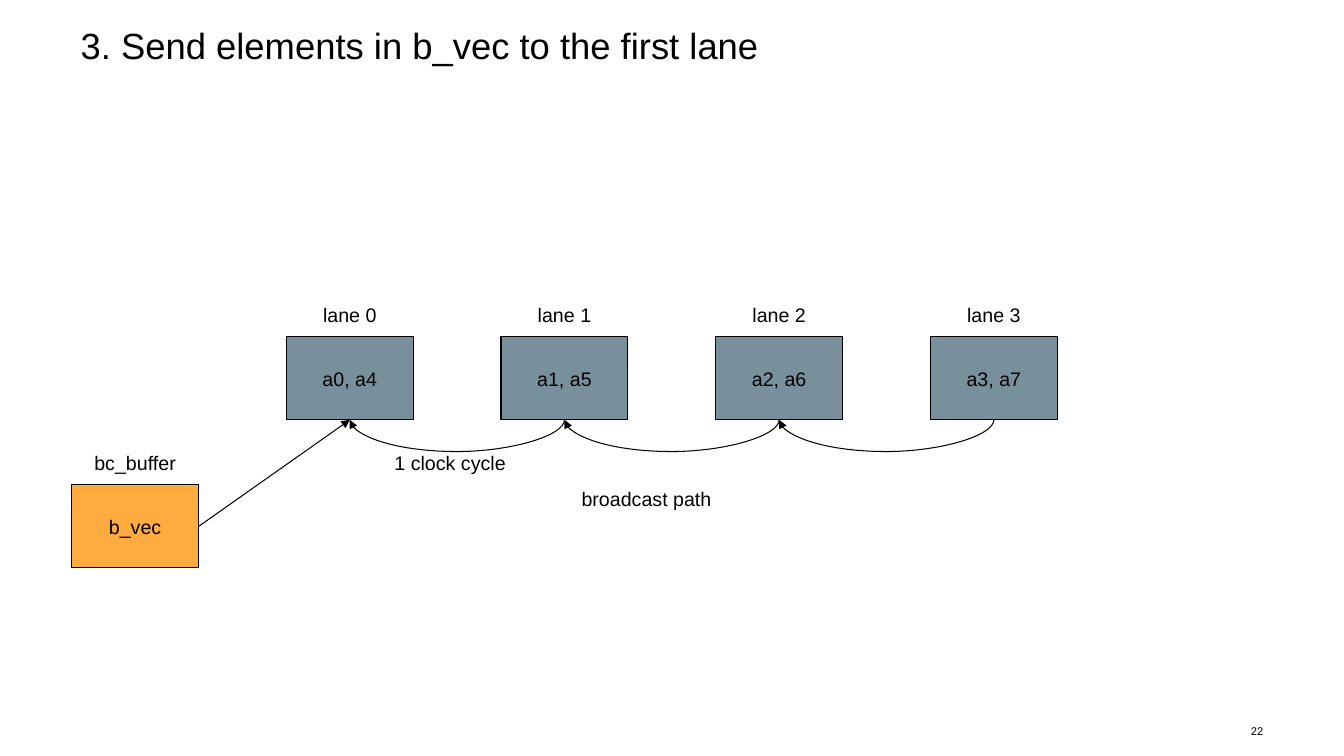
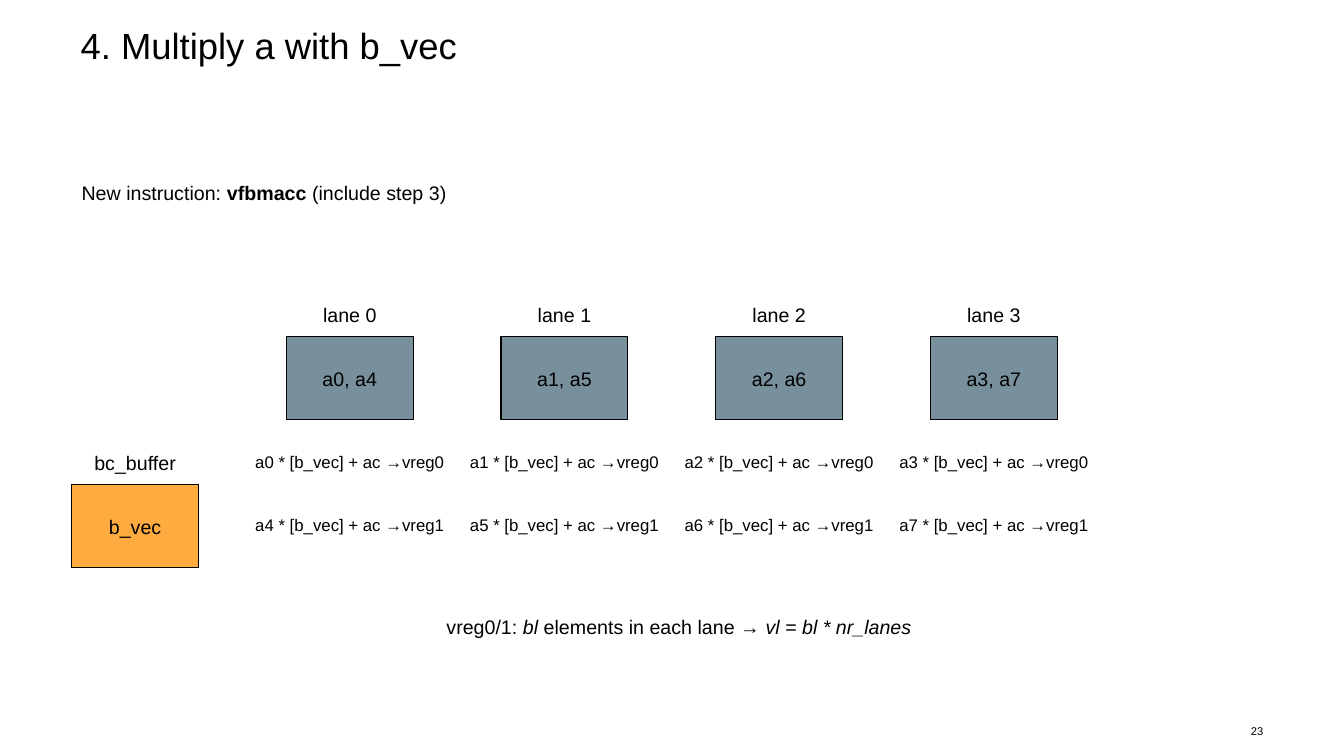
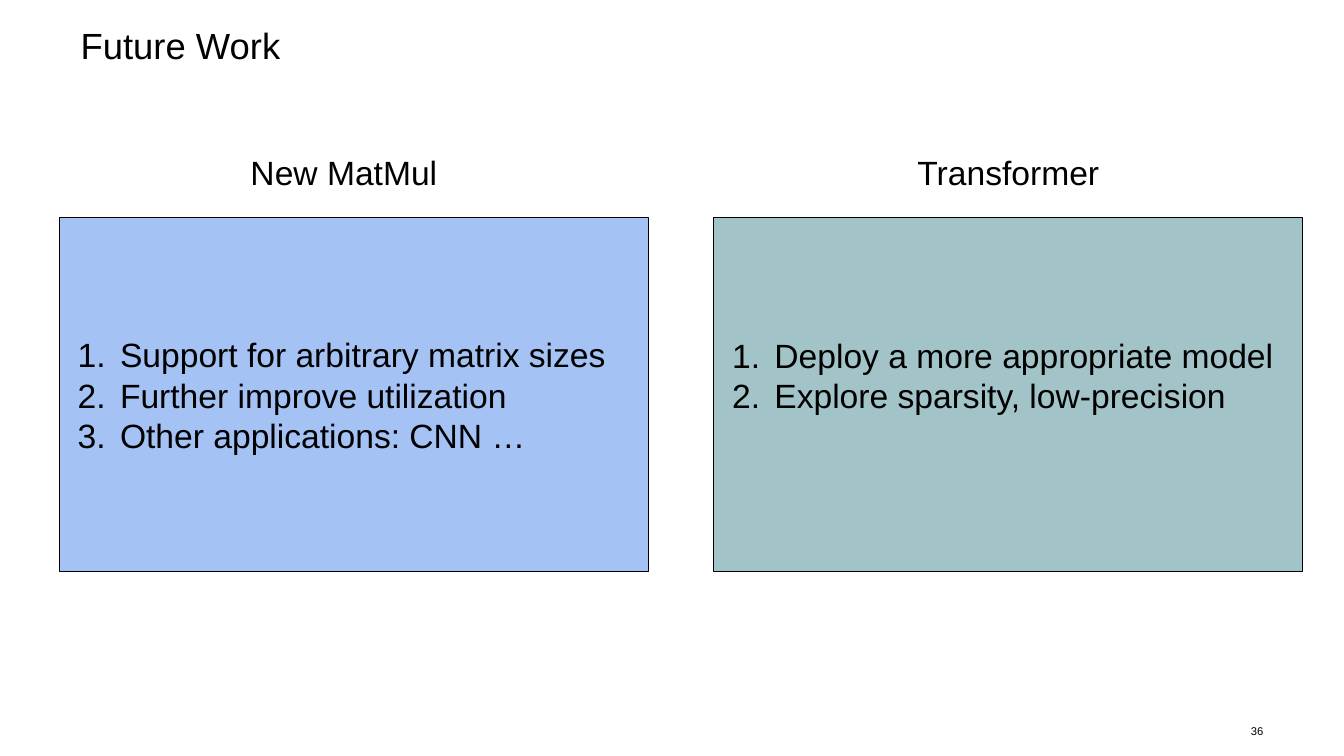
from typing import NamedTuple

from lxml.etree import SubElement
from pptx import Presentation
from pptx.dml.color import RGBColor
from pptx.enum.shapes import MSO_CONNECTOR as Link, MSO_SHAPE as Preset
from pptx.enum.text import MSO_ANCHOR as Anchor, MSO_AUTO_SIZE as Fit, PP_ALIGN as Align
from pptx.oxml.ns import qn
from pptx.util import Emu, Inches, Pt

FONT = "Arial"
BLACK, SLATE, AMBER = "000000", "78909C", "FFAB40"
PERIWINKLE, TEAL = "A4C2F4", "A2C4C9"
INSET = Inches(0.1)
LABEL_SHARE = 34.65
LANES = 4


class Box(NamedTuple):
    """A rectangle whose areas are given in percent of its size."""
    left: float
    top: float
    width: float
    height: float

    def area(self, left, top, width, height):
        """Return a box inside this one, measured in percent."""
        return Box(self.left + self.width * left / 100, self.top + self.height * top / 100,
                   self.width * width / 100, self.height * height / 100)

    def columns(self, count):
        """Split the box into equal columns."""
        return [self.area(100 * i / count, 0, 100 / count, 100) for i in range(count)]

    def emu(self):
        """Return the box as whole lengths."""
        return [Emu(round(value)) for value in self]


PAGE = Box(0, 0, Inches(13.33), Inches(7.5))
LANE_ROW = PAGE.area(18.04, 38.67, 63.9, 16.87)
BUFFER = PAGE.area(5.33, 58.27, 9.45, 16.87)


def paint(color, rgb):
    """Set a colour from a hex string."""
    color.rgb = RGBColor.from_string(rgb)


def move(shape, box):
    """Set a shape to a box."""
    shape.left, shape.top, shape.width, shape.height = box.emu()


def outline(shape, fill):
    """Give a shape a flat fill and a thin black line."""
    shape.fill.solid()
    paint(shape.fill.fore_color, fill)
    paint(shape.line.color, BLACK)
    shape.line.width = Pt(0.75)


def number(para):
    """Turn a paragraph into an item of a numbered list."""
    props = para._p.get_or_add_pPr()
    props.set("marL", str(Inches(0.5)))
    props.set("indent", str(-Inches(0.42)))
    SubElement(SubElement(props, qn("a:buClr")), qn("a:srgbClr"), val=BLACK)
    SubElement(props, qn("a:buFont"), typeface=FONT)
    SubElement(props, qn("a:buAutoNum"), type="arabicPeriod")


def write(shape, paragraphs, size=14, align=Align.CENTER, anchor=Anchor.TOP,
          inset=INSET, numbered=False, spacing=1.0):
    """Write paragraphs, each a string or a list of (text, style) runs."""
    frame = shape.text_frame
    frame.word_wrap = True
    frame.auto_size = Fit.NONE
    frame.vertical_anchor = anchor
    frame.margin_left = frame.margin_right = frame.margin_top = frame.margin_bottom = inset
    for i, runs in enumerate(paragraphs):
        para = frame.add_paragraph() if i else frame.paragraphs[0]
        if numbered:
            number(para)
        para.alignment = align
        para.line_spacing = spacing
        para.space_before = Pt(0)
        for text, style in [(runs, "")] if isinstance(runs, str) else runs:
            span = para.add_run()
            span.text = text
            span.font.name, span.font.size = FONT, Pt(size)
            span.font.bold, span.font.italic = style == "b", style == "i"
            paint(span.font.color, BLACK)


def note(slide, box, runs, **style):
    """Add a text box with one paragraph."""
    write(slide.shapes.add_textbox(*box.emu()), [runs], **style)


def new_page(deck, layout, title, page_number):
    """Add a slide with its title and page number."""
    slide = deck.slides.add_slide(deck.slide_layouts.get_by_name(layout))
    move(slide.shapes.title, PAGE.area(6, 3.73, 88, 13.07))
    write(slide.shapes.title, [title], size=26, align=Align.LEFT, inset=0, spacing=0.9)
    note(slide, PAGE.area(91.37, 95.07, 2.63, 3.2), str(page_number), size=8,
         align=Align.RIGHT, anchor=Anchor.MIDDLE, inset=0)
    return slide


def tile(slide, box, label, text, fill):
    """Draw a labelled block and return the block."""
    note(slide, box.area(0, 0, 100, LABEL_SHARE), label)
    block = slide.shapes.add_shape(
        Preset.RECTANGLE, *box.area(0, LABEL_SHARE, 100, 100 - LABEL_SHARE).emu())
    block.shadow.inherit = False
    outline(block, fill)
    write(block, [text], anchor=Anchor.MIDDLE)
    return block


def lane_diagram(slide, row, buffer):
    """Draw the lanes and the broadcast buffer; return their blocks."""
    lanes = [tile(slide, slot.area(20.42, 0, 59.15, 100), f"lane {i}",
                  f"a{i}, a{i + LANES}", SLATE)
             for i, slot in enumerate(row.columns(LANES))]
    return lanes, tile(slide, buffer, "bc_buffer", "b_vec", AMBER)


def arrow(slide, kind, source, source_side, target, target_side):
    """Join two blocks with a thin arrow."""
    link = slide.shapes.add_connector(kind, 0, 0, 0, 0)
    link.begin_connect(source, source_side)
    link.end_connect(target, target_side)
    paint(link.line.color, BLACK)
    link.line.width = Pt(0.75)
    SubElement(link.line._get_or_add_ln(), qn("a:tailEnd"), type="triangle")
    SubElement(link._element.spPr, qn("a:effectLst"))
    return link


def hop(slide, source, target):
    """Draw an arrow that sags from one block's bottom to the next."""
    link = arrow(slide, Link.CURVE, source, 2, target, 2)
    thin, sag = 600, PAGE.height * 0.035
    start, end, base = link.begin_x, link.end_x, link.begin_y
    reach = end - start
    move(link, Box((start + end - thin) / 2, base - reach / 2, thin, reach))
    frame = link._element.spPr.find(qn("a:xfrm"))
    frame.set("rot", "16200000")
    frame.set("flipH", "1")
    guides = link._element.spPr.find(qn("a:prstGeom")).get_or_add_avLst()
    SubElement(guides, qn("a:gd"), name="adj1", fmla=f"val {round(sag / thin * 100000)}")


def broadcast_slide(deck):
    """Build the slide on sending elements to the lanes."""
    slide = new_page(deck, "Title Only", "3. Send elements in b_vec to the first lane", 22)
    lanes, buffer = lane_diagram(slide, LANE_ROW, BUFFER)
    arrow(slide, Link.STRAIGHT, buffer, 3, lanes[0], 2)
    for source, target in zip(lanes, lanes[1:]):
        hop(slide, source, target)
    note(slide, PAGE.area(42.53, 63.07, 14.93, 5.87), "broadcast path", align=Align.LEFT)
    note(slide, PAGE.area(26.03, 58.27, 14.93, 5.87), "1 clock cycle")


def multiply_slide(deck):
    """Build the slide on multiplying in each lane."""
    slide = new_page(deck, "Title Only", "4. Multiply a with b_vec", 23)
    lane_diagram(slide, LANE_ROW, BUFFER)
    note(slide, PAGE.area(5.33, 22.53, 36.23, 8.93),
         [("New instruction: ", ""), ("vfbmacc ", "b"), ("(include step 3)", "")],
         align=Align.LEFT)
    for register, top in enumerate((117, 166.8)):
        for i, slot in enumerate(LANE_ROW.columns(LANES)):
            note(slide, slot.area(-9.86, top, 119.72, 31.6),
                 f"a{i + LANES * register} * [b_vec] + ac →vreg{register}", size=12)
    note(slide, PAGE.area(32.48, 80, 36.23, 5.87),
         [("vreg0/1: ", ""), ("bl", "i"), (" elements in each lane → ", ""),
          ("vl = bl * nr_lanes", "i")], align=Align.LEFT)


def topic(heading, body, box, title, title_share, items, fill, rows):
    """Fill one heading and one numbered panel, keeping room for equal rows."""
    move(heading, box.area(0, 0, title_share, 14.32))
    write(heading, [title], size=24)
    move(body, box.area(0, 17.6, 100, 82.4))
    outline(body, fill)
    write(body, items, size=24, align=Align.LEFT, anchor=Anchor.MIDDLE, numbered=True)
    body.text_frame.margin_bottom = INSET + Pt(24 * 1.15 * (rows - len(items)))


def future_slide(deck):
    """Build the slide on future work."""
    slide = new_page(deck, "Comparison", "Future Work", 36)
    topics = [
        ("New MatMul", 96.58, ["Support for arbitrary matrix sizes",
                               "Further improve utilization",
                               "Other applications: CNN …"], PERIWINKLE),
        ("Transformer", 100, ["Deploy a more appropriate model",
                              "Explore sparsity, low-precision"], TEAL)]
    rows = max(len(items) for _, _, items, _ in topics)
    holders = list(slide.placeholders)[1:]
    for i, details in enumerate(topics):
        topic(holders[2 * i], holders[2 * i + 1],
              PAGE.area(4.43 + 48.69 * i, 18.8, 43.81, 56.8), *details, rows)


def main():
    """Build and save the deck."""
    deck = Presentation()
    deck.slide_width, deck.slide_height = PAGE.emu()[2:]
    for build in (broadcast_slide, multiply_slide, future_slide):
        build(deck)
    deck.save("out.pptx")


if __name__ == "__main__":
    main()
